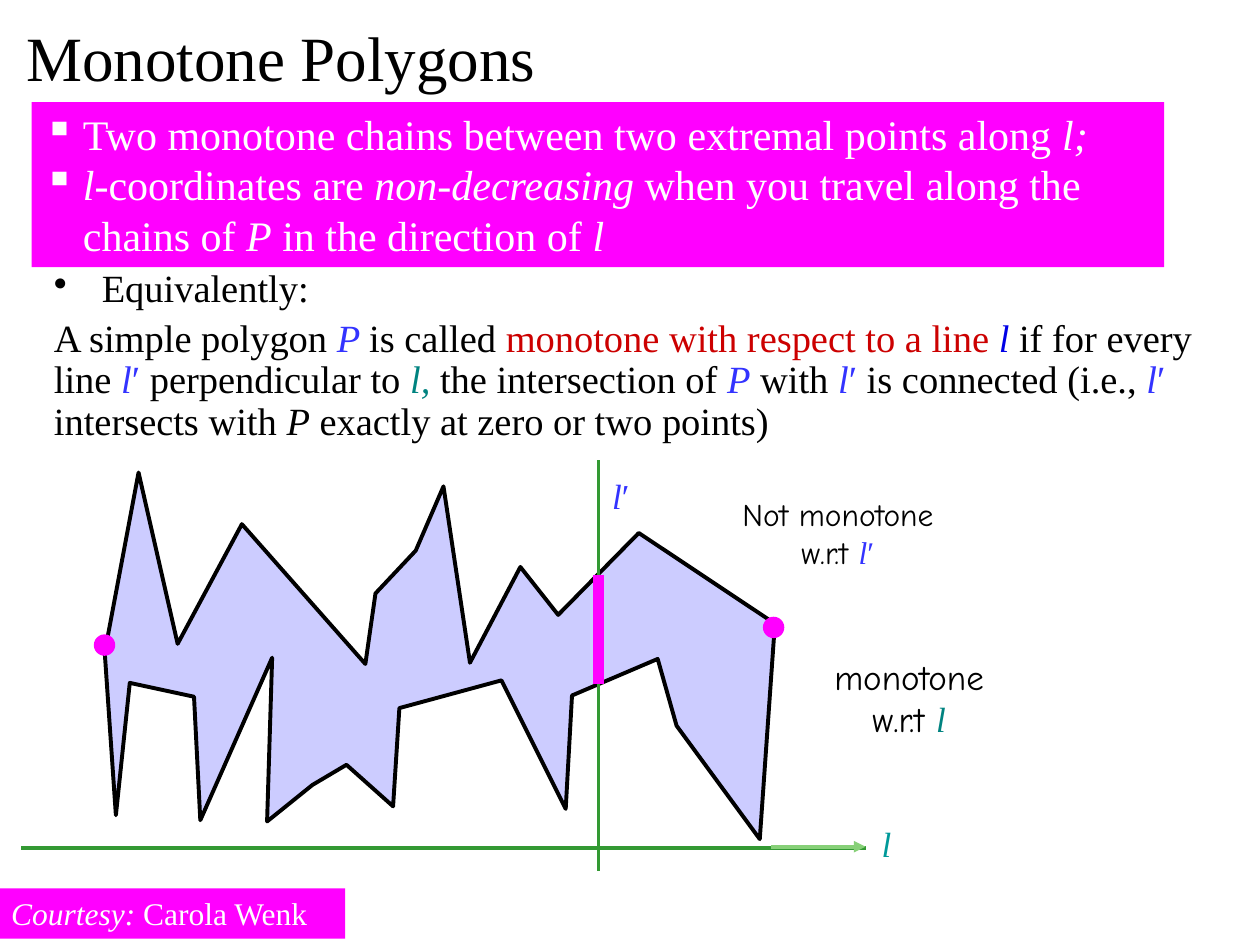
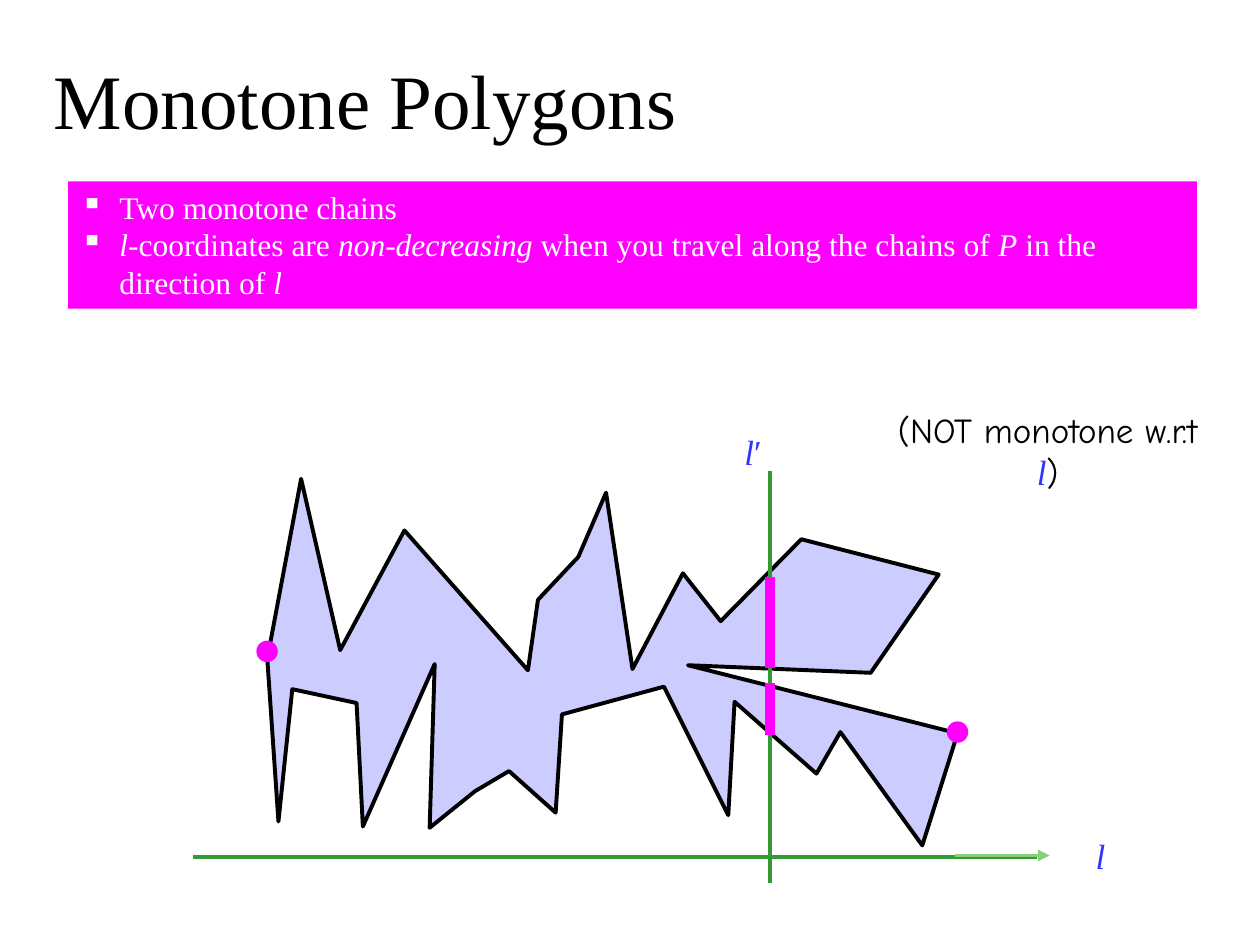
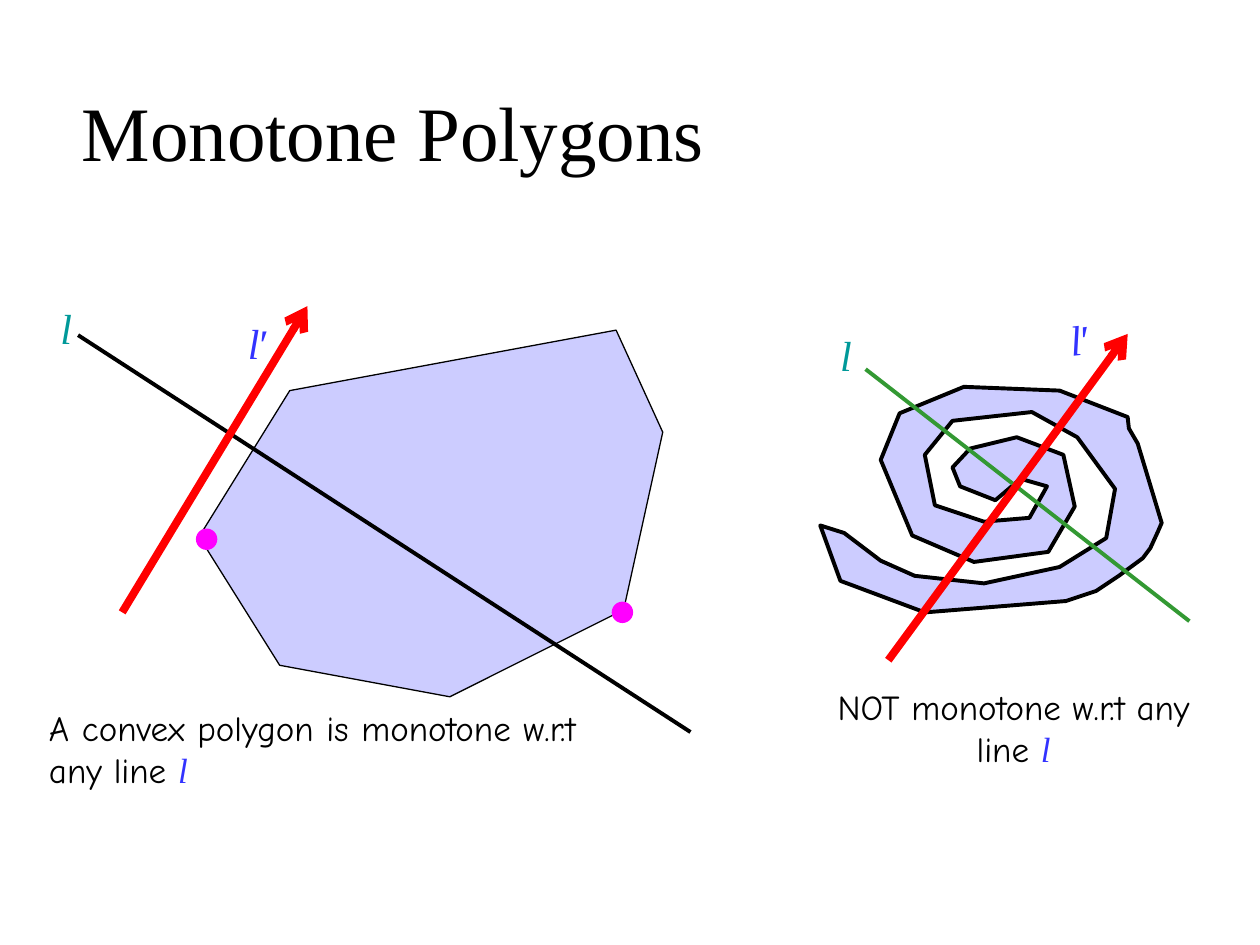
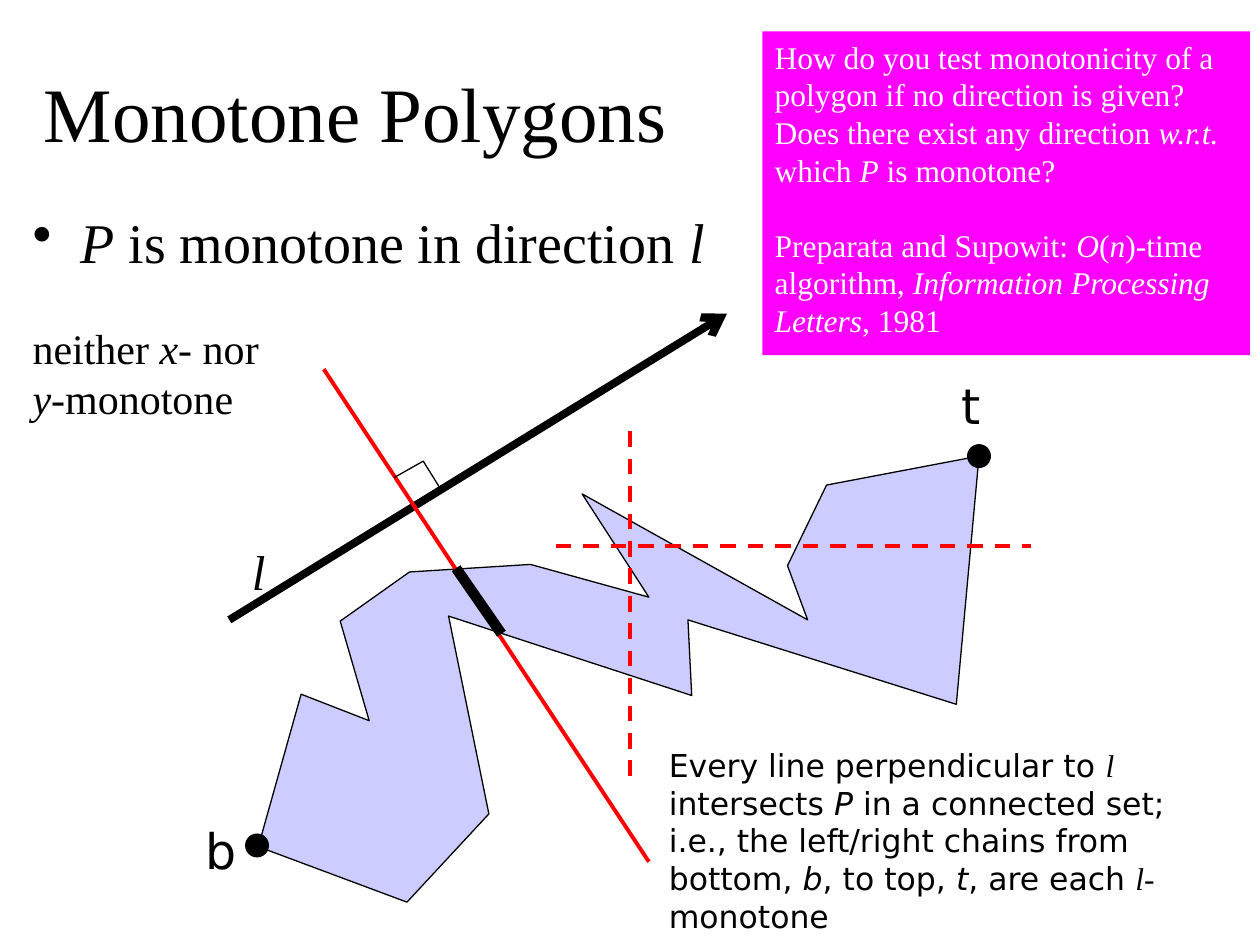
from dataclasses import dataclass, field

from pptx import Presentation
from pptx.dml.color import RGBColor
from pptx.enum.dml import MSO_LINE
from pptx.enum.shapes import MSO_CONNECTOR, MSO_SHAPE
from pptx.enum.text import MSO_ANCHOR, PP_ALIGN
from pptx.oxml.ns import qn
from pptx.util import Inches, Pt
from lxml.etree import SubElement

# The grid: 10 columns by 7.5 rows of one-inch cells
COLUMNS, ROWS = 10, 7.5
CELL = Inches(1)


@dataclass(frozen=True)
class Theme:
    colours: dict = field(default_factory=lambda: {
        "black": "000000", "white": "FFFFFF", "magenta": "FF00FF",
        "lavender": "CCCCFF", "blue": "3333FF", "navy": "0000E6",
        "crimson": "CC0000", "red": "FF0000", "teal": "008380",
        "aqua": "009999", "green": "339933", "lime": "87D078"})
    fonts: dict = field(default_factory=lambda: {
        "serif": "Times New Roman", "hand": "Comic Neue", "sans": "DejaVu Sans"})
    title: int = 44
    small_title: int = 36
    heading: int = 32
    label: int = 28
    large: int = 24
    body: int = 22
    caption: int = 20
    note: int = 18
    thin: float = 0.75
    line: float = 2.25
    arrow: float = 4.5
    mark: float = 6
    dot: float = 0.17


THEME = Theme()

# Text: each paragraph is a list of (text, style words) runs
TITLE = "Monotone Polygons"
L_PRIME = [("l", "i blue"), ("′", "blue")]
L_BLUE, L_AQUA, L_TEAL = [("l", "i blue")], [("l", "i aqua")], [("l", "i teal")]
SERIF_L = [("l", "i blue serif")]

NON_DECREASING = [
    ("l", "i"), ("-coordinates are ", ""), ("non-decreasing", "i"),
    (" when you travel along the chains of ", ""), ("P", "i"),
    (" in the direction of ", ""), ("l", "i")]
CHAINS_LONG = [[("Two monotone chains between two extremal points along ", ""),
                ("l;", "i")], NON_DECREASING]
CHAINS_SHORT = [[("Two monotone chains", "")], NON_DECREASING]

EQUIVALENTLY = [("Equivalently:", "")]
DEFINITION = [
    ("A simple polygon ", ""), ("P ", "i blue"), ("is called ", ""),
    ("monotone with respect to a line ", "crimson"), ("l", "i navy"),
    (" if for every line ", ""), *L_PRIME, (" perpendicular to ", ""),
    ("l,", "i teal"), (" the intersection of ", ""), ("P", "i blue"),
    (" with ", ""), *L_PRIME, (" is connected (i.e., ", ""), *L_PRIME,
    (" intersects with ", ""), ("P", "i"),
    (" exactly at zero or two points)", "")]
COURTESY = [("Courtesy:", "i"), (" Carola Wenk", "")]

DIRECTION = [("P", "i"), (" is monotone in direction ", ""), ("l", "i")]
NEITHER = [("neither ", ""), ("x-", "i"), (" nor ", ""), ("y-", "i"),
           ("monotone", "")]
QUESTION = [
    ("How do you test monotonicity of a polygon if no direction is given? "
     "Does there exist any direction ", ""), ("w.r.t.", "i"), (" which ", ""),
    ("P", "i"), (" is monotone?", "")]
REFERENCE = [
    ("Preparata and Supowit: ", ""), ("O", "i"), ("(", ""), ("n", "i"),
    (")-time algorithm, ", ""), ("Information Processing Letters", "i"),
    (", 1981", "")]
PERPENDICULAR = [
    ("Every line perpendicular to ", ""), ("l ", "i serif"),
    ("intersects ", ""), ("P", "i"),
    (" in a connected set; i.e., the left/right chains from bottom, ", ""),
    ("b", "i"), (", to top, ", ""), ("t", "i"), (", are each ", ""),
    ("l", "i serif"), ("-", "serif"), ("monotone", "")]

# Outlines, as (column, row) points
UPPER_CHAIN = [
    (0.83, 5.16), (0.85, 5.08), (1.1, 3.75), (1.41, 5.11), (1.92, 4.16),
    (2.9, 5.27), (2.98, 4.71), (3.3, 4.37), (3.52, 3.86), (3.73, 5.26),
    (4.13, 4.5), (4.43, 4.88), (5.07, 4.23)]
LOWER_CHAIN = [
    (4.54, 5.52), (4.49, 6.42), (3.98, 5.4), (3.17, 5.62), (3.12, 6.4),
    (2.75, 6.07), (2.48, 6.23), (2.12, 6.52), (2.16, 5.22), (1.59, 6.51),
    (1.54, 5.53), (1.03, 5.42), (0.92, 6.47)]
MONOTONE_END = [(6.15, 4.95), (6.03, 6.66), (5.37, 5.76), (5.22, 5.23)]
FORKED_END = [(7.45, 4.56), (6.91, 5.34), (5.46, 5.28), (7.6, 5.82),
              (7.32, 6.71), (6.67, 5.81), (6.48, 6.14)]
CONVEX = [(2.3, 3.1), (1.58, 4.26), (2.22, 5.28), (3.57, 5.53),
          (4.95, 4.84), (5.26, 3.43), (4.89, 2.62)]
SPIRAL = [
    (8.1, 3.8), (7.9, 3.97), (7.62, 3.86), (7.56, 3.71), (7.7, 3.56),
    (8.07, 3.47), (8.44, 3.61), (8.53, 4.02), (8.32, 4.38), (7.73, 4.46),
    (7.24, 4.25), (6.99, 3.65), (7.14, 3.28), (7.65, 3.07), (8.41, 3.1),
    (8.95, 3.31), (8.96, 3.4), (9.03, 3.52), (9.22, 4.15), (9.19, 4.22),
    (9.13, 4.35), (9.07, 4.43), (8.88, 4.57), (8.7, 4.69), (8.46, 4.77),
    (7.34, 4.86), (6.67, 4.61), (6.51, 4.17), (6.7, 4.23), (6.99, 4.45),
    (7.26, 4.57), (7.81, 4.63), (8.41, 4.5), (8.78, 4.27), (8.85, 3.88),
    (8.55, 3.47), (8.19, 3.27), (7.56, 3.34), (7.34, 3.61), (7.42, 4.01),
    (7.81, 4.14), (8.17, 4.11), (8.31, 3.86)]
TILTED = [
    (2.05, 6.72), (2.39, 5.51), (2.93, 5.72), (2.7, 4.93), (3.25, 4.54),
    (4.21, 4.48), (5.15, 4.74), (4.62, 3.92), (6.41, 4.92), (6.25, 4.49),
    (6.56, 3.85), (7.77, 3.62), (7.59, 5.59), (5.46, 4.92), (5.49, 5.52),
    (3.56, 4.89), (3.88, 6.46), (3.23, 7.16)]
RIGHT_ANGLE = [(3.13, 3.79), (3.36, 3.66), (3.49, 3.87)]


def cells(*lengths):
    return [round(length * CELL) for length in lengths]


def colour(name):
    return RGBColor.from_string(THEME.colours[name])


def paint(shape, fill=None, line=None, width=THEME.thin):
    shape.shadow.inherit = False
    for part, name in ((shape.fill, fill), (shape.line.fill, line)):
        if name:
            part.solid()
            part.fore_color.rgb = colour(name)
        else:
            part.background()
    if line:
        shape.line.width = Pt(width)


def set_bullet(paragraph, bullet, indent):
    properties = paragraph._p.get_or_add_pPr()
    properties.set("marL", str(Inches(indent)))
    properties.set("indent", str(-Inches(indent)))
    SubElement(properties, qn("a:buChar")).set("char", bullet)


def add_runs(paragraph, runs, size, font, ink):
    for text, style in runs:
        words = style.split()
        for index, piece in enumerate(text.split("\n")):
            if index:
                paragraph.add_line_break()
            run = paragraph.add_run()
            run.text = piece
            run.font.size = Pt(size)
            run.font.italic = "i" in words
            run.font.name = THEME.fonts[
                next((word for word in words if word in THEME.fonts), font)]
            run.font.color.rgb = colour(
                next((word for word in words if word in THEME.colours), ink))


def write(shape, paragraphs, size, font="serif", ink="black", align=PP_ALIGN.LEFT,
          anchor=MSO_ANCHOR.TOP, bullets=None, indent=0.31, gap=0, spacing=None):
    frame = shape.text_frame
    frame.word_wrap = True
    frame.vertical_anchor = anchor
    for index, runs in enumerate(paragraphs):
        paragraph = frame.add_paragraph() if index else frame.paragraphs[0]
        if bullets and bullets[index]:
            set_bullet(paragraph, bullets[index], indent)
        paragraph.alignment = align
        if spacing:
            paragraph.line_spacing = spacing
        if index and gap:
            paragraph.space_before = Pt(gap)
        add_runs(paragraph, runs, size, font, ink)


def add_text(slide, box, paragraphs, size, **style):
    shape = slide.shapes.add_textbox(*cells(*box))
    write(shape, paragraphs, size, **style)
    return shape


def add_centred(slide, box, runs, size=THEME.caption, font="serif"):
    return add_text(slide, box, [runs], size, font=font, align=PP_ALIGN.CENTER)


def add_title(slide, box, size=THEME.title):
    add_text(slide, box, [[(TITLE, "")]], size, anchor=MSO_ANCHOR.MIDDLE)


def add_band(slide, box, paragraphs, size=THEME.note, **style):
    band = slide.shapes.add_shape(MSO_SHAPE.RECTANGLE, *cells(*box))
    paint(band, "magenta")
    write(band, paragraphs, size, ink="white", **style)


def add_line(slide, start, end, ink, width=THEME.line, head=None, dashed=False):
    line = slide.shapes.add_connector(MSO_CONNECTOR.STRAIGHT, *cells(*start, *end))
    line.line.color.rgb = colour(ink)
    line.line.width = Pt(width)
    if dashed:
        line.line.dash_style = MSO_LINE.DASH
    if head:
        SubElement(line.line._get_or_add_ln(), qn("a:tailEnd")).set("type", head)
    SubElement(line._element.spPr, qn("a:effectLst"))


def add_outline(slide, points, fill="lavender", width=THEME.line, close=True):
    start, *rest = [cells(*point) for point in points]
    builder = slide.shapes.build_freeform(*start)
    builder.add_line_segments(rest, close=close)
    outline = builder.convert_to_shape()
    paint(outline, fill, "black", width)
    SubElement(outline.line._get_or_add_ln(), qn("a:round"))


def add_dot(slide, centre, fill="magenta", size=THEME.dot, line=None):
    left, top = (middle - size / 2 for middle in centre)
    dot = slide.shapes.add_shape(MSO_SHAPE.OVAL, *cells(left, top, size, size))
    paint(dot, fill, line)


def add_sweep(slide, origin, shift, end_chain, right_point, rows, crossings):
    """Polygon over the axis l, cut by the sweep line l′."""
    left, axis = origin
    sweep = left + 4.58
    move = lambda chain: [(x + shift[0], y + shift[1]) for x, y in chain]
    add_outline(slide, move(UPPER_CHAIN) + end_chain + move(LOWER_CHAIN))
    add_line(slide, (left, axis), (left + 6.7, axis), "green")
    add_line(slide, (sweep, rows[1]), (sweep, rows[0]), "green")
    for top, bottom in crossings:
        add_line(slide, (sweep, top), (sweep, bottom), "magenta", THEME.mark)
    arrow = right_point[0] - 0.02
    add_line(slide, (arrow, axis - 0.01), (arrow + 0.75, axis - 0.01),
             "lime", head="triangle")
    add_dot(slide, right_point)
    add_dot(slide, (0.83 + shift[0], 5.12 + shift[1]))


def build_definition(slide):
    add_title(slide, (0.11, 0.07, 8.25, 0.75), THEME.small_title)
    add_text(slide, (0.33, 2.09, 9.24, 1.08), [EQUIVALENTLY, DEFINITION],
             THEME.body, bullets="•" and ["•", None], indent=0.38, gap=4.4,
             spacing=0.9)
    add_sweep(slide, (0.17, 6.73), (0, 0), MONOTONE_END, (6.14, 4.98),
              (3.65, 6.91), [(4.56, 5.43)])
    add_text(slide, (4.76, 3.72, 0.77, 0.43), [L_PRIME], THEME.caption)
    add_centred(slide, (6.65, 6.48, 0.77, 0.43), L_AQUA)
    add_centred(slide, (6.32, 5.15, 1.79, 0.77),
                [("monotone\nw.r.t ", ""), ("l", "i teal serif")], font="hand")
    add_centred(slide, (5.32, 3.88, 2.66, 0.71),
                [("Not monotone\nw.r.t ", ""), *SERIF_L, ("′", "blue serif")],
                THEME.note, "hand")
    add_band(slide, (-0.01, 7.05, 2.75, 0.4), [COURTESY])
    add_band(slide, (0.25, 0.81, 8.99, 1.31), CHAINS_LONG, THEME.large, bullets="▪▪")


def build_counterexample(slide):
    add_title(slide, (0.33, 0.16, 8.25, 1.25))
    add_sweep(slide, (1.53, 6.8), (1.29, 0.05), FORKED_END, (7.6, 5.81),
              (3.74, 7.01), [(4.58, 5.3), (5.42, 5.83)])
    add_text(slide, (5.81, 3.37, 0.77, 0.43), [L_PRIME], THEME.caption)
    add_centred(slide, (8.35, 6.57, 0.77, 0.43), L_BLUE)
    add_centred(slide, (6.97, 3.19, 2.69, 0.77),
                [("(NOT monotone w.r.t ", ""), *SERIF_L, (")", "")], font="hand")
    add_band(slide, (0.54, 1.44, 8.96, 1.01), CHAINS_SHORT, bullets="▪▪")


def build_extremes(slide):
    add_title(slide, (0.55, 0.41, 8.25, 1.25))
    # Spiral on the right
    add_centred(slide, (6.4, 5.39, 3.29, 0.77),
                [("NOT monotone w.r.t any line ", ""), *SERIF_L], font="hand")
    add_outline(slide, SPIRAL)
    add_line(slide, (9.44, 4.93), (6.87, 2.93), "green")
    # Convex polygon on the left
    add_outline(slide, CONVEX, width=THEME.thin)
    add_line(slide, (0.62, 2.66), (5.48, 5.81), "black")
    add_text(slide, (0.29, 5.56, 4.38, 0.77),
             [[("A convex polygon is monotone w.r.t any line ", ""), *SERIF_L]],
             THEME.caption, font="hand", align=PP_ALIGN.JUSTIFY)
    # Directions and their labels
    for start, end in (((0.97, 4.86), (2.44, 2.43)), ((7.05, 5.24), (8.95, 2.65))):
        add_line(slide, start, end, "red", THEME.arrow, "arrow")
    for left, top in ((0.14, 2.35), (6.33, 2.57)):
        add_centred(slide, (left, top, 0.77, 0.5), L_AQUA, THEME.large)
    for left, top, turn in ((1.87, 2.47, 0), (8.39, 2.42, 353.2)):
        label = add_text(slide, (left, top, 0.67, 0.5), [L_PRIME], THEME.large)
        label.rotation = turn
    for centre in ((4.94, 4.86), (1.64, 4.28)):
        add_dot(slide, centre)


def build_direction(slide):
    add_title(slide, (0.25, 0.26, 5.42, 1.25))
    add_text(slide, (0.16, 1.6, 5.72, 0.65), [DIRECTION], THEME.heading,
             bullets="•", indent=0.38)
    add_outline(slide, TILTED, width=THEME.thin)
    # Direction l and a perpendicular line
    add_line(slide, (1.82, 4.92), (5.77, 2.49), "black", THEME.arrow, "arrow")
    add_text(slide, (1.9, 4.25, 0.7, 0.57), [[("l", "i")]], THEME.label)
    add_line(slide, (2.57, 2.93), (5.15, 6.84), "red")
    add_line(slide, (3.62, 4.51), (3.98, 5.03), "black", THEME.mark)
    add_outline(slide, RIGHT_ANGLE, fill=None, width=THEME.thin, close=False)
    # Bottom and top vertices
    for name, centre, corner in (("b", (2.04, 6.71), (1.53, 6.46)),
                                 ("t", (7.77, 3.62), (7.53, 2.93))):
        add_dot(slide, centre, "black", 0.18, "black")
        add_text(slide, (*corner, 0.7, 0.57), [[(name, "")]], THEME.label, font="sans")
    # Remarks
    add_text(slide, (5.21, 5.87, 4.63, 1.61), [PERPENDICULAR], THEME.note, font="sans")
    add_text(slide, (0.16, 2.51, 2.15, 0.91), [NEITHER], THEME.large)
    add_band(slide, (6.05, 0.25, 3.87, 2.57), [QUESTION, REFERENCE], gap=21)
    # Axis-parallel lines
    for start, end in (((5, 6.16), (5, 3.42)), ((4.41, 4.33), (8.18, 4.33))):
        add_line(slide, start, end, "red", dashed=True)


def main():
    presentation = Presentation()
    presentation.slide_width, presentation.slide_height = cells(COLUMNS, ROWS)
    blank = presentation.slide_layouts[6]
    for build in (build_definition, build_counterexample, build_extremes,
                  build_direction):
        build(presentation.slides.add_slide(blank))
    presentation.save("out.pptx")


if __name__ == "__main__":
    main()
